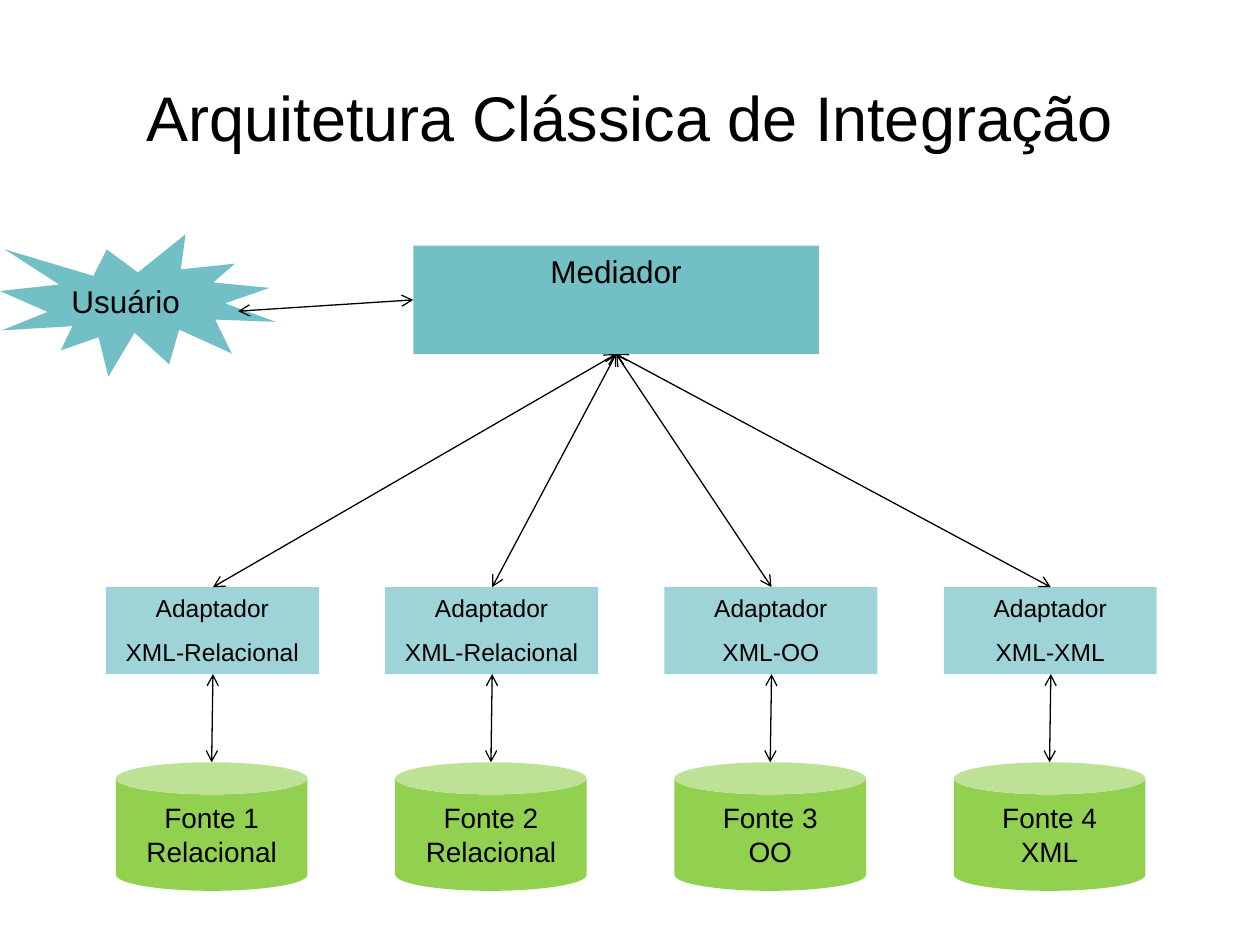
"""Builds a slide on the classic mediator and adapter integration architecture."""
from lxml import etree
from pptx import Presentation
from pptx.dml.color import RGBColor
from pptx.enum.shapes import MSO_CONNECTOR, MSO_SHAPE
from pptx.enum.text import MSO_ANCHOR, PP_ALIGN
from pptx.oxml.ns import qn
from pptx.util import Inches, Pt

RECT, CAN, BURST = MSO_SHAPE.RECTANGLE, MSO_SHAPE.CAN, MSO_SHAPE.EXPLOSION1
STRAIGHT = MSO_CONNECTOR.STRAIGHT
TOP, MIDDLE = MSO_ANCHOR.TOP, MSO_ANCHOR.MIDDLE
LEFT, CENTER = PP_ALIGN.LEFT, PP_ALIGN.CENTER
BLACK = RGBColor(0x00, 0x00, 0x00)
TEAL = RGBColor(0x72, 0xBF, 0xC5)
LIGHT_TEAL = RGBColor(0x9E, 0xD3, 0xD7)
GREEN = RGBColor(0x92, 0xD0, 0x50)

PITCH = 6.65 / 3
MEDIATOR_X, MEDIATOR_BOTTOM = 4.89, 2.81
ADAPTER_TOP, ADAPTER_BOTTOM, SOURCE_TOP = 4.66, 5.35, 6.05
SOURCES = [
    ("XML-Relacional", "Fonte 1", "Relacional"),
    ("XML-Relacional", "Fonte 2", "Relacional"),
    ("XML-OO", "Fonte 3", "OO"),
    ("XML-XML", "Fonte 4", "XML"),
]


class Diagram:
    def __init__(self, s, font="Arial"):
        self.s = s
        self.font = font

    def add_lines(self, sp, lines, size, align=CENTER, anchor=TOP, gap=0):
        tf = sp.text_frame
        tf.word_wrap = True
        tf.vertical_anchor = anchor
        for i, line in enumerate(lines):
            p = tf.add_paragraph() if i else tf.paragraphs[0]
            p.alignment = align
            p.space_before = Pt(gap if i else 0)
            r = p.add_run()
            r.text = line
            r.font.name = self.font
            r.font.size = Pt(size)
            r.font.color.rgb = BLACK

    def title(self, text, x, y, w, h):
        sp = self.s.shapes.add_textbox(Inches(x), Inches(y), Inches(w), Inches(h))
        self.add_lines(sp, [text], 36, anchor=MIDDLE)

    def shape(self, kind, x, y, w, h, fill, lines, size, align=CENTER, gap=0):
        sp = self.s.shapes.add_shape(kind, Inches(x), Inches(y), Inches(w), Inches(h))
        sp.shadow.inherit = False
        sp.fill.solid()
        sp.fill.fore_color.rgb = fill
        sp.line.fill.background()
        self.add_lines(sp, lines, size, align, gap=gap)

    def arrow(self, x1, y1, x2, y2):
        cn = self.s.shapes.add_connector(
            STRAIGHT, Inches(x1), Inches(y1), Inches(x2), Inches(y2))
        cn.line.color.rgb = BLACK
        cn.line.width = Pt(0.75)
        ln = cn._element.spPr.find(qn("a:ln"))
        for end in ("a:headEnd", "a:tailEnd"):
            etree.SubElement(ln, qn(end), type="arrow")
        etree.SubElement(cn._element.spPr, qn("a:effectLst"))


def main():
    prs = Presentation()
    prs.slide_width, prs.slide_height = Inches(10), Inches(7.5)
    d = Diagram(prs.slides.add_slide(prs.slide_layouts[6]))

    d.title("Arquitetura Clássica de Integração", 0.5, 0.3, 9, 1.25)
    d.shape(RECT, 3.28, 1.95, 3.22, 0.86, TEAL, ["Mediador"], 18)
    for i, (adapter, source, model) in enumerate(SOURCES):
        dx = i * PITCH
        center = 1.69 + dx
        d.shape(CAN, 0.92 + dx, SOURCE_TOP, 1.52, 1.02, GREEN, [source, model], 16)
        d.shape(RECT, 0.84 + dx, ADAPTER_TOP, 1.69, ADAPTER_BOTTOM - ADAPTER_TOP,
                LIGHT_TEAL, ["Adaptador", adapter], 14, gap=8)
        d.arrow(center, ADAPTER_TOP, MEDIATOR_X, MEDIATOR_BOTTOM)
        d.arrow(center, ADAPTER_BOTTOM, center - 0.01, SOURCE_TOP)
    d.shape(BURST, 0, 1.86, 2.19, 1.13, TEAL, ["Usuário"], 18, LEFT)
    d.arrow(1.89, 2.47, 3.28, 2.38)

    prs.save("out.pptx")


if __name__ == "__main__":
    main()
